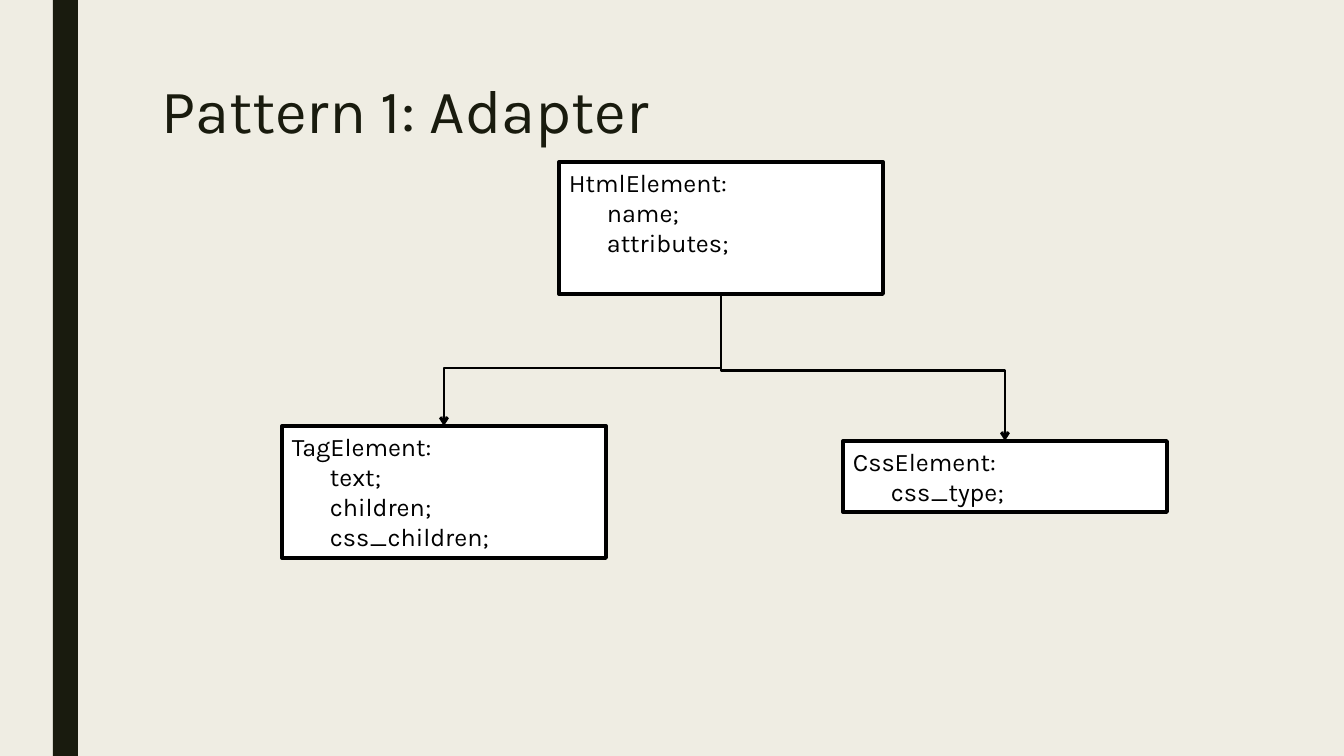
from dataclasses import dataclass

from lxml import etree
from pptx import Presentation
from pptx.dml.color import RGBColor
from pptx.enum.shapes import MSO_CONNECTOR, MSO_SHAPE
from pptx.enum.text import MSO_ANCHOR, MSO_AUTO_SIZE, PP_ALIGN
from pptx.oxml.ns import qn
from pptx.util import Emu, Pt

WIDTH, HEIGHT = 1344, 756
FONT = "Karla"
COLORS = {"paper": "EFEDE3", "dark": "191B0E", "white": "FFFFFF", "black": "000000"}


def px(pixels: float) -> Emu:
    return Emu(round(pixels * 12192000 / WIDTH))


def color(name: str) -> RGBColor:
    return RGBColor.from_string(COLORS[name])


@dataclass
class ClassBox:
    name: str
    fields: list[str]
    left: int
    top: int
    height: int
    width: int = 324

    @property
    def center(self) -> int:
        return self.left + self.width // 2

    @property
    def bottom(self) -> int:
        return self.top + self.height


def style_run(paragraph, text: str, size: int, color_name: str) -> None:
    run = paragraph.add_run()
    run.text = text
    run.font.name, run.font.size = FONT, Pt(size)
    run.font.color.rgb = color(color_name)


def add_rect(slide, left: int, top: int, width: int, height: int, fill: str):
    rect = slide.shapes.add_shape(MSO_SHAPE.RECTANGLE, px(left), px(top), px(width), px(height))
    rect.shadow.inherit = False
    rect.fill.solid()
    rect.fill.fore_color.rgb = color(fill)
    rect.line.fill.background()
    return rect


def draw_class(slide, box: ClassBox) -> None:
    rect = add_rect(slide, box.left, box.top, box.width, box.height, "white")
    rect.line.color.rgb = color("black")
    rect.line.width = Pt(2.75)
    frame = rect.text_frame
    frame.word_wrap = True
    frame.vertical_anchor = MSO_ANCHOR.TOP
    for index, text in enumerate([f"{box.name}:"] + [f"{field};" for field in box.fields]):
        paragraph = frame.add_paragraph() if index else frame.paragraphs[0]
        paragraph.alignment = PP_ALIGN.LEFT
        if index:
            paragraph._p.get_or_add_pPr().set("marL", str(px(38)))
        style_run(paragraph, text, 18, "black")


def add_elbow(slide, x1: float, y1: float, x2: float, y2: float):
    elbow = slide.shapes.add_connector(MSO_CONNECTOR.ELBOW, px(x1), px(y1), px(x2), px(y2))
    elbow.line.color.rgb = color("black")
    elbow.line.width = Pt(2)
    etree.SubElement(elbow.line._get_or_add_ln(), qn("a:tailEnd"), type="arrow")
    etree.SubElement(elbow._element.spPr, qn("a:effectLst"))
    return elbow


def add_vertical_elbow(slide, x1: int, y1: int, x2: int, y2: int, bend: float) -> None:
    """Run down, across and down again: a horizontal elbow turned a quarter."""
    mid_x, mid_y = (x1 + x2) / 2, (y1 + y2) / 2
    half_w, half_h = (y2 - y1) / 2, (x2 - x1) / 2
    elbow = add_elbow(slide, mid_x - half_w, mid_y - half_h, mid_x + half_w, mid_y + half_h)
    xfrm = elbow._element.spPr.find(qn("a:xfrm"))
    xfrm.set("rot", str(270 * 60000))
    xfrm.set("flipH", "1")
    guides = elbow._element.spPr.find(qn("a:prstGeom")).get_or_add_avLst()
    etree.SubElement(guides, qn("a:gd"), name="adj1", fmla=f"val {round(bend * 100000)}")


def add_corner(slide, x1: int, y1: int, x2: int, y2: int) -> None:
    """Run across, then down."""
    elbow = add_elbow(slide, x1, y1, x2, y2)
    elbow._element.spPr.find(qn("a:prstGeom")).set("prst", "bentConnector2")


prs = Presentation()
prs.slide_width, prs.slide_height = px(WIDTH), px(HEIGHT)
slide = prs.slides.add_slide(prs.slide_layouts[5])

# Background and side bar
slide.background.fill.solid()
slide.background.fill.fore_color.rgb = color("paper")
add_rect(slide, 53, 0, 25, HEIGHT, "dark")

# Title
title = slide.shapes.title
title.left, title.top, title.width, title.height = px(151), px(76), px(1058), px(163)
title.text_frame.vertical_anchor = MSO_ANCHOR.TOP
title.text_frame.auto_size = MSO_AUTO_SIZE.NONE
heading = title.text_frame.paragraphs[0]
heading.alignment = PP_ALIGN.LEFT
heading.line_spacing = 0.89
style_run(heading, "Pattern 1: Adapter", 44, "dark")

# Class boxes
tag = ClassBox("TagElement", ["text", "children", "css_children"], 282, 426, 132)
css = ClassBox("CssElement", ["css_type"], 843, 441, 71)
html = ClassBox("HtmlElement", ["name", "attributes"], 559, 162, 132)
for class_box in (tag, css, html):
    draw_class(slide, class_box)

# Inheritance arrows
add_vertical_elbow(slide, html.center, html.bottom, css.center, css.top, 0.52)
add_corner(slide, html.center, 368, tag.center, tag.top)

prs.save("out.pptx")
